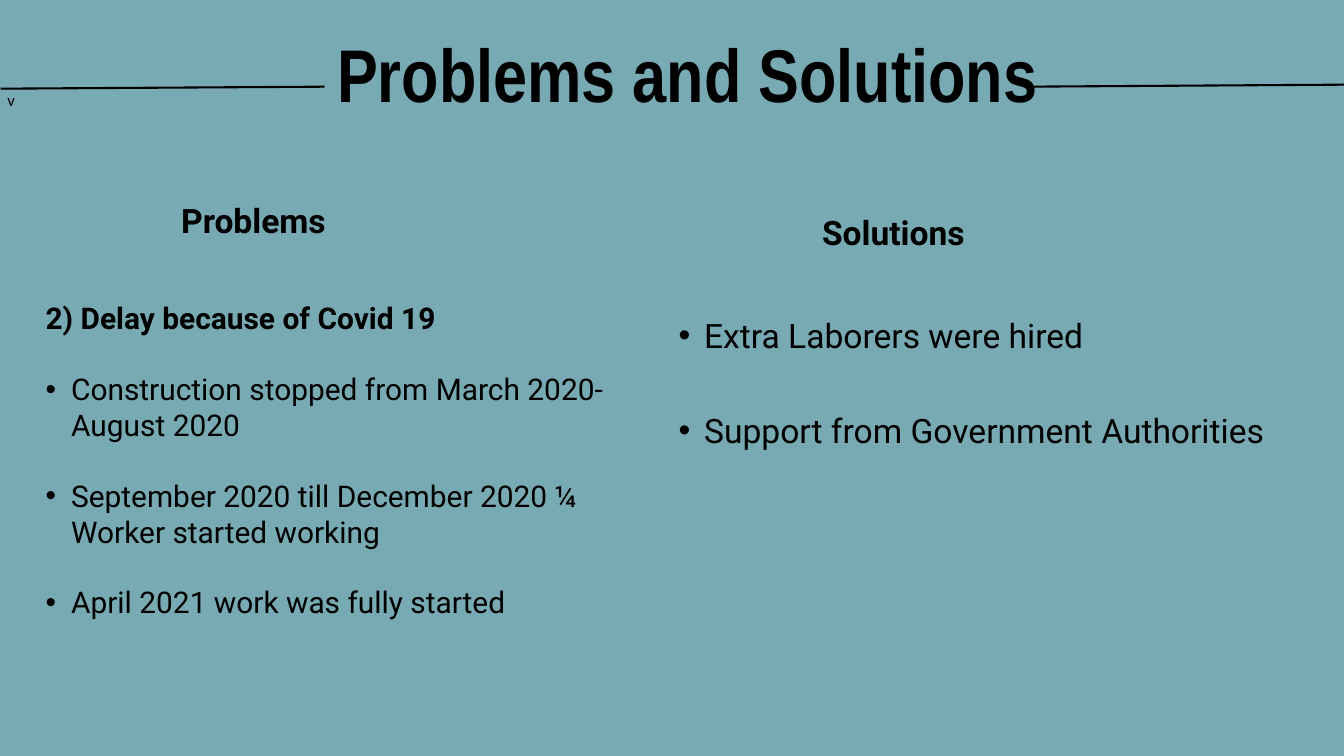
"""Build the "Problems and Solutions" slide."""
from lxml.etree import SubElement
from pptx import Presentation
from pptx.dml.color import RGBColor
from pptx.enum.shapes import MSO_CONNECTOR
from pptx.enum.text import MSO_ANCHOR, MSO_AUTO_SIZE, PP_ALIGN
from pptx.oxml.ns import qn
from pptx.util import Inches, Pt

TEAL = RGBColor(0x78, 0xAA, 0xB3)
BLACK = RGBColor(0, 0, 0)
WIDTH, HEIGHT = 20, 11.25
LEFT_COLUMN, RIGHT_COLUMN = 0.58, WIDTH / 2
COLUMN_WIDTH = 8.92
HEADING_TOP = 2.04
RULE_Y = 1.29
LINE_HEIGHT = 1.17
BULLET_INDENT = Inches(0.38)

DELAY = "2) Delay because of Covid 19"
DELAY_DETAILS = [
    "Construction stopped from March 2020-August 2020",
    "September 2020 till December 2020 ¼ Worker started working",
    "April 2021 work was fully started",
]
REMEDIES = ["Extra Laborers were hired", "Support from Government Authorities"]


def add_run(paragraph, text, size, font="Roboto", bold=False):
    """Append one black run to a paragraph."""
    run = paragraph.add_run()
    run.text = text
    run.font.name = font
    run.font.size = Pt(size)
    run.font.bold = bold
    run.font.color.rgb = BLACK


def add_frame(slide, left, top, width, height, anchor=MSO_ANCHOR.TOP):
    """Add a wrapping text box and return its text frame."""
    box = slide.shapes.add_textbox(*map(Inches, (left, top, width, height)))
    frame = box.text_frame
    frame.word_wrap = True
    frame.vertical_anchor = anchor
    return frame


def add_title(slide, text):
    """Place and format the title placeholder."""
    title = slide.shapes.title
    title.left, title.top, title.width, title.height = map(
        Inches, (3.83, 0.04, 12.81, 1.59))
    frame = title.text_frame
    frame.auto_size = MSO_AUTO_SIZE.NONE
    frame.vertical_anchor = MSO_ANCHOR.TOP
    paragraph = frame.paragraphs[0]
    paragraph.alignment = PP_ALIGN.CENTER
    paragraph.line_spacing = Pt(119.4)
    add_run(paragraph, text, 80, "Arial Narrow", bold=True)


def add_heading(slide, text, left, width, height):
    """Add a centred column heading."""
    frame = add_frame(slide, left, HEADING_TOP, width, height, MSO_ANCHOR.BOTTOM)
    paragraph = frame.paragraphs[0]
    paragraph.alignment = PP_ALIGN.CENTER
    add_run(paragraph, text, 36, bold=True)


def add_bullets(frame, items, size, gap):
    """Fill a frame with bulleted paragraphs, each a gap below the last."""
    for item in items:
        first = not frame.paragraphs[0].runs
        paragraph = frame.paragraphs[0] if first else frame.add_paragraph()
        if not first:
            paragraph.space_before = Pt(gap)
        properties = paragraph._p.get_or_add_pPr()
        properties.set("marL", str(BULLET_INDENT))
        properties.set("indent", str(-BULLET_INDENT))
        SubElement(properties, qn("a:buFont")).set("typeface", "Arial")
        SubElement(properties, qn("a:buChar")).set("char", "•")
        add_run(paragraph, item, size)


def add_rule(slide, start_x, start_y, end_x, end_y):
    """Draw a black line beside the title."""
    rule = slide.shapes.add_connector(
        MSO_CONNECTOR.STRAIGHT, *map(Inches, (start_x, start_y, end_x, end_y)))
    rule.line.color.rgb = BLACK
    rule.line.width = Pt(2.25)
    SubElement(rule._element.spPr, qn("a:effectLst"))


def main():
    """Assemble and save the slide."""
    presentation = Presentation()
    presentation.slide_width = Inches(WIDTH)
    presentation.slide_height = Inches(HEIGHT)
    slide = presentation.slides.add_slide(presentation.slide_layouts[5])
    slide.background.fill.solid()
    slide.background.fill.fore_color.rgb = TEAL

    add_title(slide, "Problems and Solutions")
    add_heading(slide, "Problems ", LEFT_COLUMN, 6.51, 1.59)
    add_heading(slide, "Solutions", RIGHT_COLUMN, 6.59, 1.76)

    solutions = add_frame(slide, RIGHT_COLUMN, 4.64, COLUMN_WIDTH, 4.32)
    add_bullets(solutions, REMEDIES, 36, gap=58.5)

    problems = add_frame(slide, LEFT_COLUMN, 4.37, COLUMN_WIDTH, 4.95,
                         MSO_ANCHOR.MIDDLE)
    add_run(problems.paragraphs[0], DELAY, 32, bold=True)
    add_bullets(problems, DELAY_DETAILS, 32, gap=32 * LINE_HEIGHT)

    add_rule(slide, 0.01, RULE_Y + 0.03, 4.83, RULE_Y)
    add_rule(slide, 15.26, RULE_Y, WIDTH, RULE_Y - 0.03)
    mark = add_frame(slide, 0.01, RULE_Y, 4.82, 0.4)
    add_run(mark.paragraphs[0], "v", 18, "Calibri")

    presentation.save("out.pptx")


if __name__ == "__main__":
    main()
